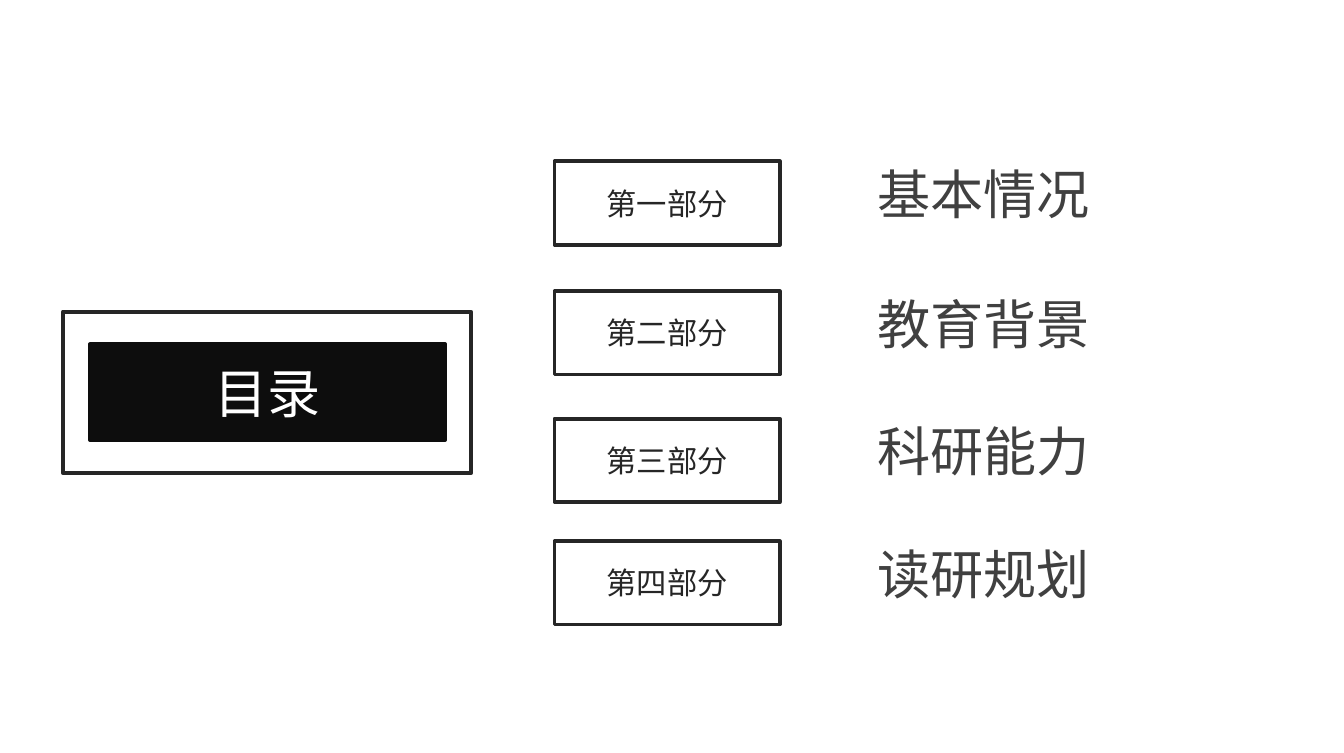
from lxml import etree
from pptx import Presentation
from pptx.dml.color import RGBColor
from pptx.enum.shapes import MSO_SHAPE
from pptx.enum.text import MSO_ANCHOR, MSO_AUTO_SIZE, PP_ALIGN
from pptx.oxml.ns import qn
from pptx.util import Pt

RECT = MSO_SHAPE.RECTANGLE
MIDDLE = MSO_ANCHOR.MIDDLE
CENTER = PP_ALIGN.CENTER
GROW = MSO_AUTO_SIZE.SHAPE_TO_FIT_TEXT

FONT = "Noto Sans CJK SC"
WHITE = RGBColor(0xFF, 0xFF, 0xFF)
BLACK = RGBColor(0x0D, 0x0D, 0x0D)
DARK = RGBColor(0x26, 0x26, 0x26)
GRAY = RGBColor(0x40, 0x40, 0x40)

TITLE = "目录"
SECTIONS = [  # label, heading, top
    ("第一部分", "基本情况", 85),
    ("第二部分", "教育背景", 153.4),
    ("第三部分", "科研能力", 220.6),
    ("第四部分", "读研规划", 285.1),
]

SLIDE_W, SLIDE_H = 708.5, 396.7
FRAME = (33.1, 164.2, 215.3, 85)
PANEL = (47.5, 181.4, 187.2, 50.4)
LABEL_LEFT, LABEL_W, LABEL_H = 292.3, 118.8, 43.9
HEADING_LEFT, HEADING_W, HEADING_H = 462.2, 113, 33.8


def add_text(tf, text, size, color):
    tf.vertical_anchor = MIDDLE
    p = tf.paragraphs[0]
    p.alignment = CENTER
    r = p.add_run()
    r.text = text
    for name, value in {"size": Pt(size), "name": FONT}.items():
        setattr(r.font, name, value)
    r.font.color.rgb = color
    # Chinese characters take their typeface from a:ea
    etree.SubElement(r._r.get_or_add_rPr(), qn("a:ea"), typeface=FONT)


def add_box(slide, box, line, fill=None):
    sp = slide.shapes.add_shape(RECT, *map(Pt, box))
    sp.shadow.inherit = False
    if fill is None:
        sp.fill.background()
    else:
        sp.fill.solid()
        sp.fill.fore_color.rgb = fill
    sp.line.color.rgb = line
    sp.line.width = Pt(2)
    return sp


def add_heading(slide, text, top):
    box = (HEADING_LEFT, top, HEADING_W, HEADING_H)
    tf = slide.shapes.add_textbox(*map(Pt, box)).text_frame
    for side in ("left", "top", "right", "bottom"):
        setattr(tf, f"margin_{side}", 0)
    tf.word_wrap = False
    tf.auto_size = GROW
    add_text(tf, text, 28, GRAY)


def main():
    prs = Presentation()
    prs.slide_width, prs.slide_height = Pt(SLIDE_W), Pt(SLIDE_H)
    slide = prs.slides.add_slide(prs.slide_layouts[6])

    add_box(slide, FRAME, DARK)
    panel = add_box(slide, PANEL, BLACK, BLACK)
    add_text(panel.text_frame, TITLE, 28, WHITE)

    for label, heading, top in SECTIONS:
        sp = add_box(slide, (LABEL_LEFT, top, LABEL_W, LABEL_H), DARK)
        add_text(sp.text_frame, label, 16, DARK)
        add_heading(slide, heading, top)

    prs.save("out.pptx")


if __name__ == "__main__":
    main()
